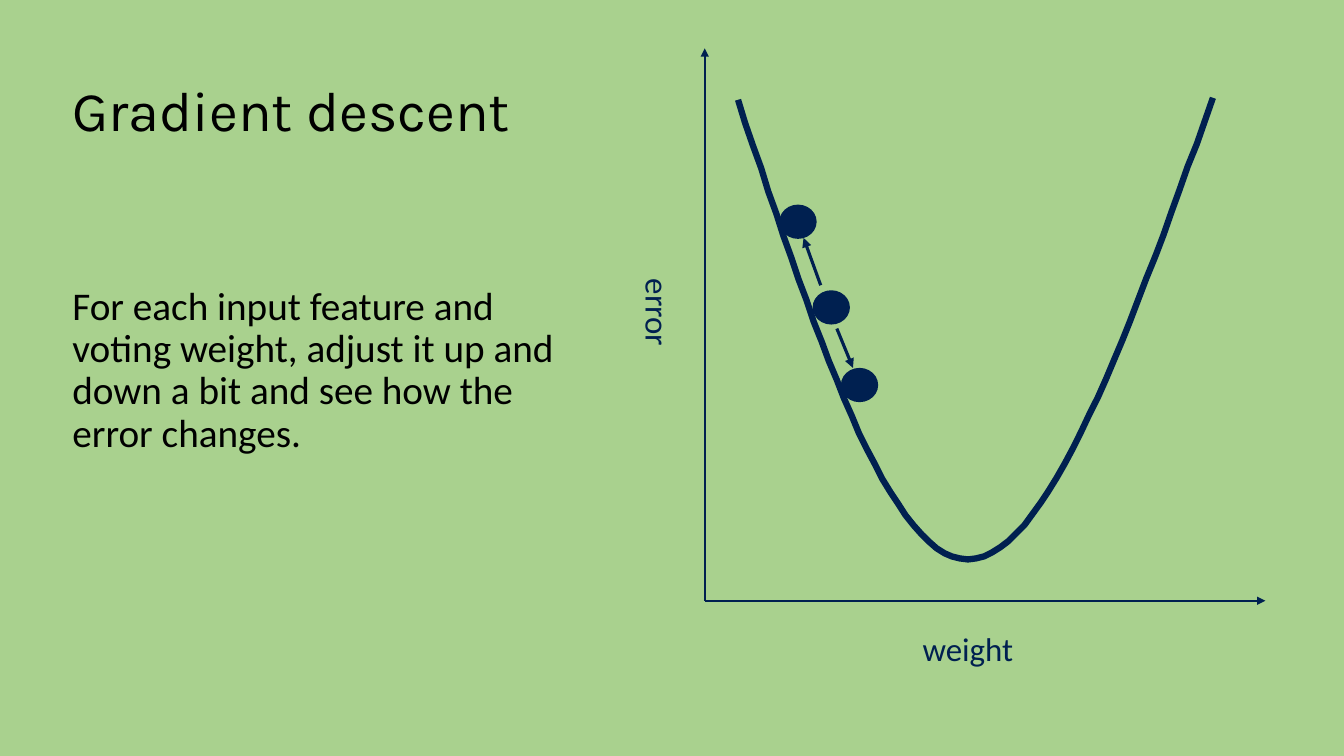
from pptx import Presentation
from pptx.dml.color import RGBColor
from pptx.enum.shapes import MSO_CONNECTOR, MSO_SHAPE
from pptx.enum.text import MSO_ANCHOR, MSO_AUTO_SIZE
from pptx.oxml.ns import qn
from pptx.util import Pt
from lxml.etree import SubElement

PX = 9144  # EMU per px, 100 px to the inch
NAVY, BLACK, GREEN = "002050", "000000", "A9D18E"
LABEL_FRAME = dict(margin_left=20 * PX, margin_right=20 * PX,
                   margin_top=16 * PX, margin_bottom=16 * PX,
                   word_wrap=False, auto_size=MSO_AUTO_SIZE.SHAPE_TO_FIT_TEXT)


def color(hex_value):
    return RGBColor.from_string(hex_value)


def add_text(slide, box, text, font_name, size, hex_value, frame_format):
    shape = slide.shapes.add_textbox(*(length * PX for length in box))
    frame = shape.text_frame
    for name, value in frame_format.items():
        setattr(frame, name, value)
    paragraph = frame.paragraphs[0]
    paragraph.text = text
    paragraph.line_spacing = 0.9
    font = paragraph.runs[0].font
    font.name, font.size = font_name, Pt(size)
    font.color.rgb = color(hex_value)
    return shape


def add_arrow(slide, start, end, width):
    arrow = slide.shapes.add_connector(
        MSO_CONNECTOR.STRAIGHT, *(length * PX for length in (*start, *end)))
    arrow.line.color.rgb = color(NAVY)
    arrow.line.width = Pt(width)
    SubElement(arrow.line._get_or_add_ln(), qn("a:tailEnd"), type="triangle")
    SubElement(arrow._element.spPr, qn("a:effectLst"))


def bezier_points(controls, steps=30):
    """Points along a cubic curve, without its start."""
    for step in range(1, steps + 1):
        t = step / steps
        weights = ((1 - t) ** 3, 3 * t * (1 - t) ** 2, 3 * t * t * (1 - t), t ** 3)
        yield tuple(round(sum(w * point[axis] for w, point in zip(weights, controls)), 2)
                    for axis in (0, 1))


def add_error_curve(slide, left, top):
    start, bottom, end = (33, 51), (261, 507), (504, 49)
    halves = ((start, (108, 279), (183, 508), bottom),
              (bottom, (340, 507), (422, 278), end))
    points = [point for half in halves for point in bezier_points(half)]
    builder = slide.shapes.build_freeform(*start, scale=PX)
    builder.add_line_segments(points, close=False)
    curve = builder.convert_to_shape(left * PX, top * PX)
    curve.shadow.inherit = False
    curve.fill.background()
    curve.line.color.rgb = color(NAVY)
    curve.line.width = Pt(4.5)


def add_ball(slide, left, top):
    ball = slide.shapes.add_shape(MSO_SHAPE.OVAL, left * PX, top * PX, 37 * PX, 34 * PX)
    ball.shadow.inherit = False
    ball.fill.solid()
    ball.fill.fore_color.rgb = color(NAVY)
    ball.line.fill.background()


def add_error_plot(slide, left, top, width, height):
    def at(x, y):
        return left + x, top + y

    add_error_curve(slide, left, top)
    for axis_end in ((0, 0), (width, height)):
        add_arrow(slide, at(0, height), at(*axis_end), 1.5)
    for text, position, size, rotation in (
            ("weight", (196, height + 16), (131, 67), 0),
            ("error", (-103, 230), (110, 67), 90)):
        label = add_text(slide, (*at(*position), *size), text, "Calibri", 23.5,
                         NAVY, LABEL_FRAME)
        label.rotation = rotation
    for position in ((107, 240), (135, 317), (74, 155)):
        add_ball(slide, *at(*position))
    for start, end in (((115, 235), (98, 188)), ((131, 278), (147, 317))):
        add_arrow(slide, at(*start), at(*end), 2.25)


def add_explanation(slide, left, top):
    add_text(slide, (left, top, 1150, 145), "Gradient descent", "Karla", 40, BLACK,
             dict(word_wrap=True, vertical_anchor=MSO_ANCHOR.MIDDLE))
    add_text(slide, (left, top + 239, 535, 317),
             "For each input feature and voting weight, adjust it up and down a bit "
             "and see how the error changes.", "Calibri", 28, BLACK,
             dict(word_wrap=True))


def main():
    presentation = Presentation()
    presentation.slide_width, presentation.slide_height = 1333 * PX, 750 * PX
    slide = presentation.slides.add_slide(presentation.slide_layouts[6])
    slide.background.fill.solid()
    slide.background.fill.fore_color.rgb = color(GREEN)
    add_error_plot(slide, 699, 48, 556, 548)
    add_explanation(slide, 62, 40)
    presentation.save("out.pptx")


if __name__ == "__main__":
    main()
